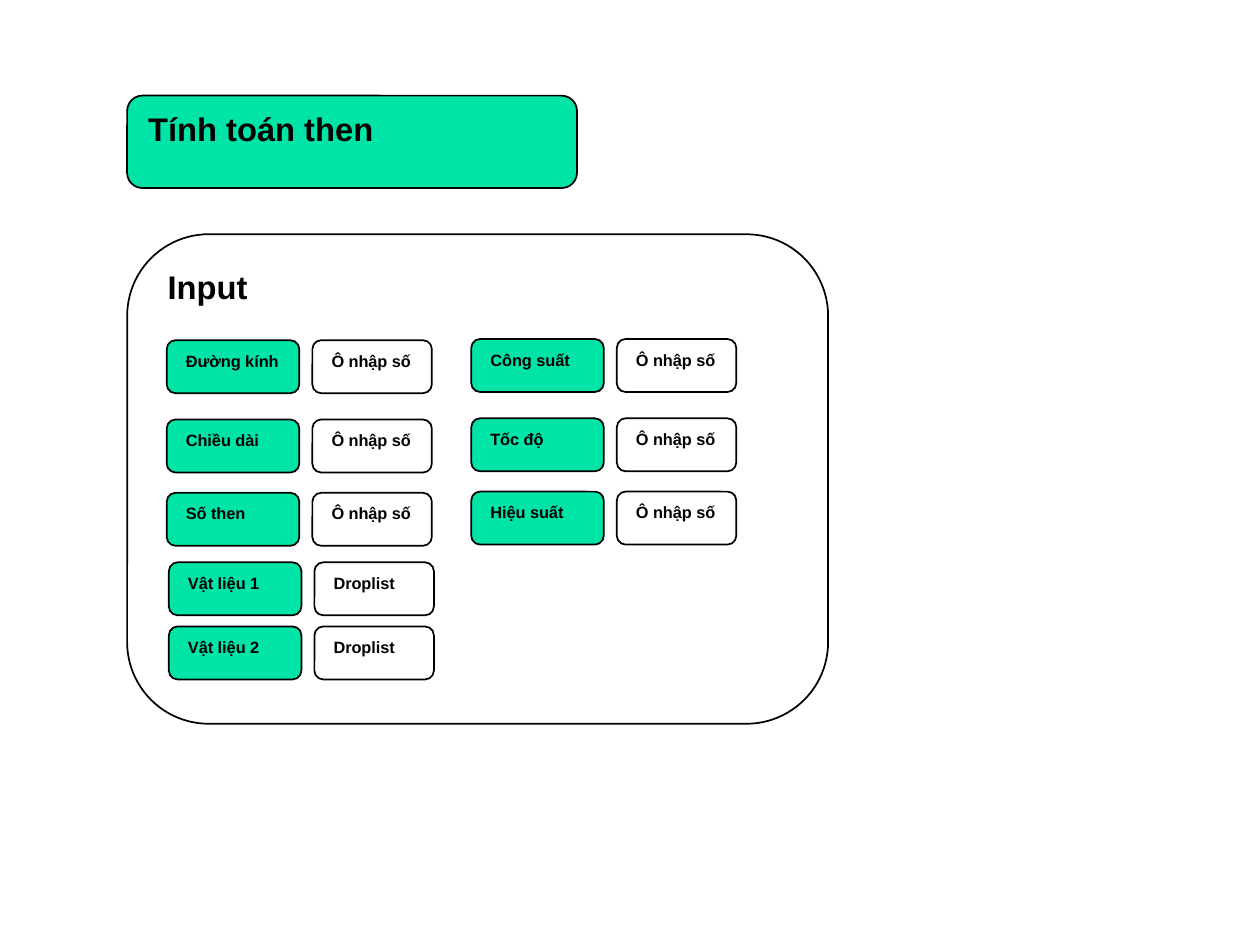
from pptx import Presentation
from pptx.dml.color import RGBColor
from pptx.enum import shapes, text
from pptx.util import Pt

# Content
TITLE = "Tính toán then"
PANEL = "Input"
NUMBER, DROPLIST = "Ô nhập số", "Droplist"

# Field groups: left, top offset, then (row, label, entry)
GROUPS = [
    (71.5, 0, [(0, "Đường kính", NUMBER), (1, "Chiều dài", NUMBER), (2, "Số then", NUMBER)]),
    (202, -0.5, [(0, "Công suất", NUMBER), (1, "Tốc độ", NUMBER), (2, "Hiệu suất", NUMBER)]),
    (72.4, 0, [(3, "Vật liệu 1", DROPLIST), (4, "Vật liệu 2", DROPLIST)]),
]

# Layout in points
ROW_TOPS = [145.8, 179.8, 211.2, 241, 268.5]
LABEL_W, ENTRY_W, FIELD_H = 56.8, 51.2, 22.7
ENTRY_OFFSET = 62.4
MARGIN = 54.5

GREEN = RGBColor(0x00, 0xE4, 0xA8)
BLACK = RGBColor(0, 0, 0)
HEADING_SIZE, FIELD_SIZE = 14, 7
FRAME_FORMAT = {
    "margin_left": Pt(7.2), "margin_right": Pt(3.6), "margin_top": Pt(3.6),
    "word_wrap": True, "vertical_anchor": text.MSO_ANCHOR.TOP,
}

prs = Presentation()
prs.slide_width, prs.slide_height = Pt(540), Pt(405)
slide = prs.slides.add_slide(prs.slide_layouts[6])


def add_box(words, left, top, width, height, size, fill=None):
    """Outlined rounded box with bold text at its top left."""
    box = slide.shapes.add_shape(shapes.MSO_SHAPE.ROUNDED_RECTANGLE,
                                 Pt(left), Pt(top), Pt(width), Pt(height))
    box.shadow.inherit = False
    if fill is None:
        box.fill.background()
    else:
        box.fill.solid()
        box.fill.fore_color.rgb = fill
    box.line.color.rgb = BLACK
    box.line.width = Pt(0.75)

    frame = box.text_frame
    for name, value in FRAME_FORMAT.items():
        setattr(frame, name, value)
    paragraph = frame.paragraphs[0]
    paragraph.alignment = text.PP_ALIGN.LEFT
    run = paragraph.add_run()
    run.text = words
    for name, value in {"name": "Arial", "size": Pt(size), "bold": True}.items():
        setattr(run.font, name, value)
    run.font.color.rgb = BLACK


# Title and input panel
add_box(TITLE, MARGIN, 41, 192.8, 39.6, HEADING_SIZE, GREEN)
add_box(PANEL, MARGIN, 100.4, 300.4, 209.8, HEADING_SIZE)

# Labels with their entry boxes
for left, shift, fields in GROUPS:
    for row, label, entry in fields:
        top = ROW_TOPS[row] + shift
        add_box(label, left, top, LABEL_W, FIELD_H, FIELD_SIZE, GREEN)
        add_box(entry, left + ENTRY_OFFSET, top, ENTRY_W, FIELD_H, FIELD_SIZE)

prs.save("out.pptx")
